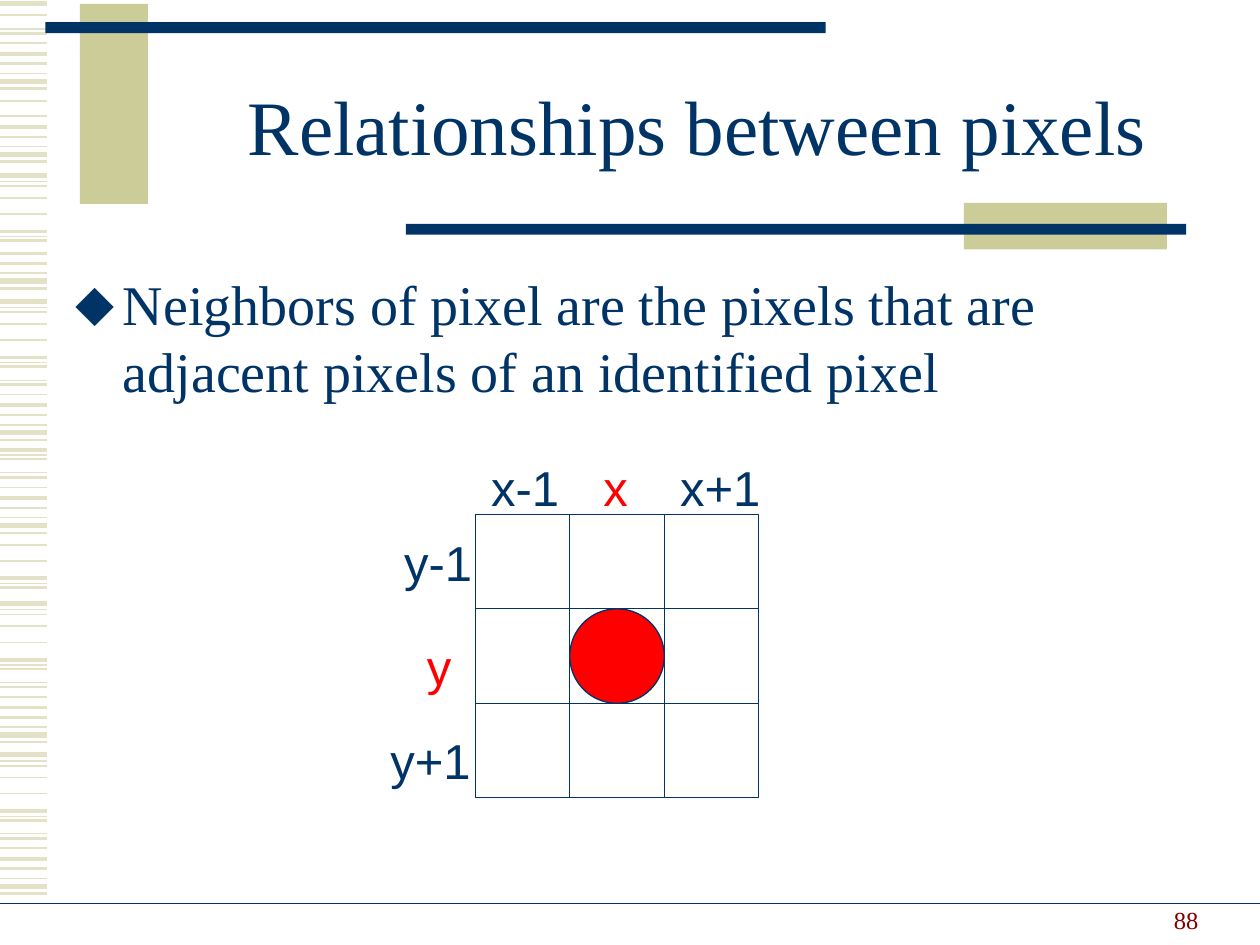
from dataclasses import dataclass

from lxml import etree
from pptx import Presentation
from pptx import util as u
from pptx.dml.color import RGBColor
from pptx.enum import shapes, text
from pptx.oxml import ns


@dataclass(frozen=True)
class Theme:
    navy: str = "003366"
    khaki: str = "CCCC99"
    stripe: str = "E3E2C7"
    red: str = "FF0000"
    maroon: str = "800000"
    serif: str = "Times New Roman"
    sans: str = "Arial"
    title_size: int = 44
    body_size: int = 32
    label_size: int = 28
    number_size: int = 14
    hairline: float = 0.75


THEME = Theme()
WIDTH, HEIGHT = 720, 540

TITLE = "Relationships between pixels"
BODY = "Neighbors of pixel are the pixels that are adjacent pixels of an identified pixel"
PAGE_NUMBER = "88"

RISING = [(0, 1), (6.1, 2.25), (11.7, 1.5), (17.3, 0.75), (21.8, 3), (25.9, 1.5)]
FALLING = [(0, 3), (3.5, 0.75), (6.3, 1), (13, 1), (22.2, 1), (32.2, 2.25),
           (35.1, 0.75), (37.4, 1.5), (45.2, 0.75), (47.7, 1.5)]
STRIPE_GROUPS = [
    (2.2, FALLING[:1]), (-28.7, FALLING[7:]), (24.6, RISING),
    (35.4, FALLING[4:5]), (66.5, RISING), (100.1, FALLING[:8]),
    (138.8, RISING[1:]), (172.1, FALLING), (225.5, RISING),
    (225, FALLING[5:]), (278.6, RISING), (298.3, FALLING[3:8]),
    (344.9, FALLING), (398.2, RISING), (431.3, FALLING), (484.6, RISING),
]
STRIPE_RIGHT = 27
BARS = [
    (45.6, 2.2, 39, 114.4, THEME.khaki),
    (26, 12.7, 445.8, 6.2, THEME.navy),
    (550.8, 115.9, 116, 26.7, THEME.khaki),
    (232, 127.9, 445.8, 6.2, THEME.navy),
]
FOOTER_Y = 516.2

CELL, GRID_LEFT, GRID_TOP = 54, 271.6, 293.9
NEIGHBORS = [(1, 0), (2, 1), (1, 2), (0, 1)]
LABEL_HEIGHT = 41
LABELS = [
    ("x-1", 273.6, 257.8, 53.3, THEME.navy),
    ("x", 337.7, 257.8, 28.8, THEME.red),
    ("x+1", 381.6, 257.8, 60.5, THEME.navy),
    ("y-1", 223.9, 301, 53.3, THEME.navy),
    ("y", 236.9, 360, 28.8, THEME.red),
    ("y+1", 216, 414, 60.5, THEME.navy),
]


def points(*lengths):
    return [u.Pt(length) for length in lengths]


def add_line(page, left, right, y, color, weight):
    line = page.shapes.add_connector(
        shapes.MSO_CONNECTOR.STRAIGHT, *points(left, y, right, y))
    line.line.color.rgb = RGBColor.from_string(color)
    line.line.width = u.Pt(weight)
    etree.SubElement(line._element.spPr, ns.qn("a:effectLst"))


def add_figure(page, kind, frame, fill=None, outline=None):
    figure = page.shapes.add_shape(kind, *points(*frame))
    figure.shadow.inherit = False
    if fill:
        figure.fill.solid()
        figure.fill.fore_color.rgb = RGBColor.from_string(fill)
    else:
        figure.fill.background()
    if outline:
        figure.line.color.rgb = RGBColor.from_string(outline)
        figure.line.width = u.Pt(THEME.hairline)
    else:
        figure.line.fill.background()


def write(box, words, font, size, color, align, anchor, wrap=True):
    frame = box.text_frame
    frame.word_wrap = wrap
    frame.auto_size = text.MSO_AUTO_SIZE.NONE if wrap else text.MSO_AUTO_SIZE.SHAPE_TO_FIT_TEXT
    frame.vertical_anchor = anchor
    para = frame.paragraphs[0]
    para.text = words
    para.alignment = align
    para.space_before = u.Pt(0)
    para.font.name = font
    para.font.size = u.Pt(size)
    para.font.color.rgb = RGBColor.from_string(color)
    return para


def place(box, left, top, width, height):
    box.left, box.top, box.width, box.height = points(left, top, width, height)


def add_bullet(para, symbol, color, indent):
    props = para._p.get_or_add_pPr()
    props.set("marL", str(u.Pt(indent)))
    props.set("indent", str(-u.Pt(indent)))
    tint = etree.SubElement(props, ns.qn("a:buClr"))
    etree.SubElement(tint, ns.qn("a:srgbClr"), val=color)
    etree.SubElement(props, ns.qn("a:buChar"), char=symbol)


def add_background(page):
    for start, stripes in STRIPE_GROUPS:
        for offset, weight in stripes:
            add_line(page, 0, STRIPE_RIGHT, start + offset, THEME.stripe, weight)
    for *frame, color in BARS:
        add_figure(page, shapes.MSO_SHAPE.RECTANGLE, frame, fill=color)
    add_line(page, 0, WIDTH, FOOTER_Y, THEME.navy, THEME.hairline)
    number = page.shapes.add_textbox(*points(519.1, 501.8, 172.8, 36))
    write(number, PAGE_NUMBER, THEME.serif, THEME.number_size, THEME.maroon,
          text.PP_ALIGN.RIGHT, text.MSO_ANCHOR.BOTTOM)


def add_headings(page):
    title, body = page.placeholders
    place(title, 108, 30.2, 581, 90)
    para = write(title, TITLE, THEME.serif, THEME.title_size, THEME.navy,
                 text.PP_ALIGN.CENTER, text.MSO_ANCHOR.MIDDLE)
    para.line_spacing = 0.85
    place(body, 36, 150.5, 671.8, 83.5)
    add_bullet(body.text_frame.paragraphs[0], "⬥", THEME.navy, 27)
    write(body, BODY, THEME.serif, THEME.body_size, THEME.navy,
          text.PP_ALIGN.LEFT, text.MSO_ANCHOR.TOP)


def cell_frame(column, row, span=1):
    return (GRID_LEFT + column * CELL, GRID_TOP + row * CELL, span * CELL, span * CELL)


def add_pixel_grid(page):
    add_figure(page, shapes.MSO_SHAPE.OVAL, cell_frame(1, 1), THEME.red, THEME.navy)
    for frame in [cell_frame(*spot) for spot in NEIGHBORS] + [cell_frame(0, 0, 3)]:
        add_figure(page, shapes.MSO_SHAPE.RECTANGLE, frame, outline=THEME.navy)
    for words, left, top, width, color in LABELS:
        label = page.shapes.add_textbox(*points(left, top, width, LABEL_HEIGHT))
        write(label, words, THEME.sans, THEME.label_size, color,
              text.PP_ALIGN.LEFT, text.MSO_ANCHOR.TOP, wrap=False)


def main():
    deck = Presentation()
    deck.slide_width, deck.slide_height = points(WIDTH, HEIGHT)
    page = deck.slides.add_slide(deck.slide_layouts[1])
    add_background(page)
    add_headings(page)
    add_pixel_grid(page)
    deck.save("out.pptx")


if __name__ == "__main__":
    main()
